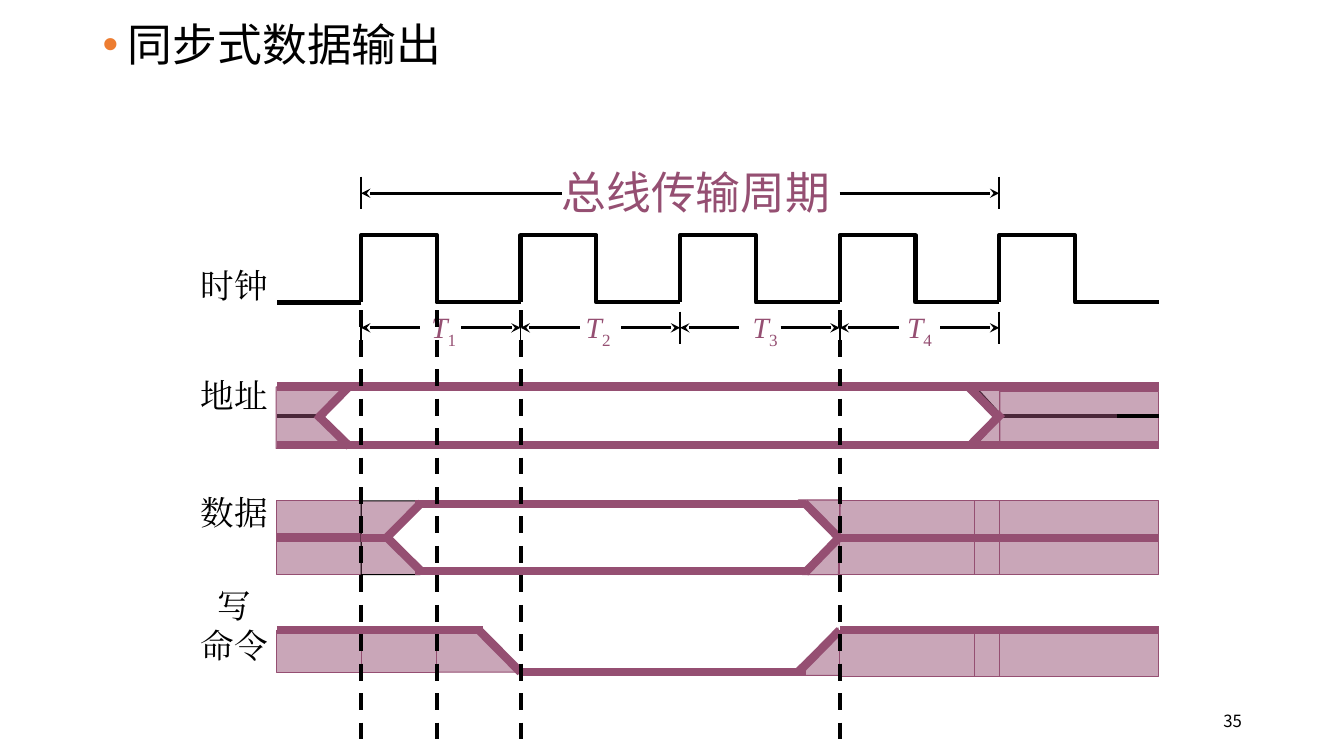
"""Build the timing diagram slide for synchronous data output."""
from dataclasses import dataclass
from itertools import pairwise

from lxml.etree import SubElement
from pptx import Presentation
from pptx.dml.color import RGBColor
from pptx.enum.dml import MSO_LINE
from pptx.enum.shapes import MSO_CONNECTOR, MSO_SHAPE
from pptx.enum.text import MSO_ANCHOR, MSO_AUTO_SIZE, PP_ALIGN
from pptx.oxml.ns import qn
from pptx.util import Cm, Pt

Point = tuple[float, float]

BLACK = RGBColor(0x00, 0x00, 0x00)
PLUM = RGBColor(0x95, 0x4F, 0x72)
ORANGE = RGBColor(0xED, 0x7D, 0x31)
SANS, SERIF = "Noto Sans CJK SC", "Times New Roman"

PERIOD = 4.02
EDGES = [round(9.1 + i * PERIOD, 2) for i in range(5)]
LEFT, RIGHT = 6.98, 29.2
STOPS = (LEFT, 9.1, 11.01, 13.12, 17.14, 20.32, 21.16, 24.55, 25.18, RIGHT)
CLOCK_LOW, CLOCK_HIGH, HIGH_TIME = 7.62, 5.93, 1.91
ADDR_TOP, ADDR_MID, ADDR_LOW = 9.74, 10.48, 11.22
DATA_TOP, DATA_MID, DATA_LOW = 12.7, 13.55, 14.39
WRITE_TOP, WRITE_LOW = 15.88, 16.94


@dataclass
class Band:
    x: float
    y: float
    w: float
    h: float
    has_axis: bool = False


@dataclass
class Area:
    points: list[Point]
    line: RGBColor = PLUM
    close: bool = False


@dataclass
class Rail:
    y: float
    xs: tuple[float, ...]


@dataclass
class Label:
    y: float
    h: float
    lines: tuple[str, ...]


BANDS = [
    Band(LEFT, 12.62, 2.12, 1.85, True),
    Band(LEFT, WRITE_TOP, 2.12, 1.06),
    Band(9.1, WRITE_TOP, 1.91, 1.06),
    Band(25.18, 9.86, PERIOD, 1.37),
    *(Band(a, 12.61, b - a, 1.88, True) for a, b in pairwise(STOPS[6:])),
    *(Band(a, WRITE_TOP, b - a, 1.17) for a, b in pairwise(STOPS[6:])),
]
AREAS = [
    Area([(8.03, 10.46), (8.86, 9.73), (6.96, 9.75), (6.96, 11.3), (8.86, 11.3)]),
    Area([(10.72, 12.62), (9.1, 12.62), (9.1, 14.48), (10.59, 14.48), (9.7, 13.51)], BLACK),
    Area([(11.01, 15.88), (12.07, 15.88), (13.12, 16.94), (11.01, 16.94)]),
    Area([(20.12, 12.6), (21.18, 12.6), (21.13, 14.48), (20.22, 14.48), (21.16, 13.49)], close=True),
    Area([(21.13, 15.82), (19.89, 17.02), (21.18, 17.02)]),
    Area([(24.51, 9.68), (25.2, 9.68), (25.2, 11.23), (24.33, 11.23), (25.25, 10.49)]),
]
RAILS = [
    Rail(ADDR_TOP, STOPS),
    Rail(ADDR_LOW, STOPS),
    Rail(DATA_TOP, (10.46, *STOPS[2:6])),
    Rail(DATA_LOW, (10.46, *STOPS[2:6])),
    Rail(DATA_MID, (9.1, 9.73)),
    Rail(WRITE_TOP, (*STOPS[:3], 12.16)),
    Rail(WRITE_TOP, STOPS[6:]),
    Rail(WRITE_LOW, STOPS[3:6]),
]
SLANTS: list[tuple[Point, Point]] = [
    ((8.79, 9.75), (8.03, 10.52)), ((8.81, 11.25), (7.98, 10.44)),
    ((25.25, 10.41), (24.49, 11.18)), ((25.17, 10.52), (24.36, 9.7)),
    ((10.62, 12.67), (9.73, 13.56)), ((10.62, 14.4), (9.7, 13.49)),
    ((21.18, 13.59), (20.27, 12.67)), ((21.18, 13.51), (20.29, 14.43)),
    ((12.07, WRITE_TOP), (13.12, WRITE_LOW)), ((21.16, WRITE_TOP), (20.12, WRITE_LOW)),
]
ADDR_HEXAGON = [(8.74, 9.74), (8.08, 10.46), (8.71, 11.2), (24.56, 11.22), (25.2, 10.46), (24.54, 9.74)]
LABELS = [
    Label(6.55, 1.27, ("时钟",)),
    Label(9.32, 1.27, ("地址",)),
    Label(12.27, 1.27, ("数据",)),
    Label(14.6, 2.31, ("写", "命令")),
]
STATE_XS = (10.87, 14.76, 18.97, 22.86)


def add_line(s, start: Point, end: Point, width: float, color=BLACK, arrow: str = ""):
    c = s.shapes.add_connector(MSO_CONNECTOR.STRAIGHT, *(Cm(v) for v in (*start, *end)))
    c.line.color.rgb = color
    c.line.width = Pt(width)
    SubElement(c._element.spPr, qn("a:effectLst"))
    if arrow:
        SubElement(c.line._get_or_add_ln(), qn(f"a:{arrow}"), type="stealth")
    return c


def outline(sp, color: RGBColor, width: float) -> None:
    sp.shadow.inherit = False
    sp.line.color.rgb = color
    sp.line.width = Pt(width)


def shade(sp) -> None:
    sp.fill.solid()
    sp.fill.fore_color.rgb = PLUM
    SubElement(sp._element.spPr.find(qn("a:solidFill"))[0], qn("a:alpha"), val="50000")


def add_path(s, points: list[Point], color: RGBColor, width: float, close: bool = False):
    first, *rest = [(Cm(x), Cm(y)) for x, y in points]
    builder = s.shapes.build_freeform(*first)
    builder.add_line_segments(rest, close=close)
    sp = builder.convert_to_shape()
    sp.fill.background()
    outline(sp, color, width)
    return sp


def add_band(s, band: Band) -> None:
    sp = s.shapes.add_shape(MSO_SHAPE.RECTANGLE, *(Cm(v) for v in (band.x, band.y, band.w, band.h)))
    shade(sp)
    outline(sp, PLUM, 0.75)
    if band.has_axis:
        y = band.y + band.h / 2
        axis = add_line(s, (band.x, y), (band.x + band.w, y), 6, PLUM)
        axis.begin_connect(sp, 1)
        axis.end_connect(sp, 3)


def add_run(p, text: str, size: float, font: str, color: RGBColor):
    r = p.add_run()
    r.text = text
    r.font.size, r.font.name, r.font.color.rgb = Pt(size), font, color
    SubElement(r._r.get_or_add_rPr(), qn("a:ea"), typeface=font)
    return r


def add_box(s, x: float, y: float, w: float, h: float, wrap: bool = False):
    tf = s.shapes.add_textbox(Cm(x), Cm(y), Cm(w), Cm(h)).text_frame
    tf.word_wrap = wrap
    tf.margin_left = tf.margin_right = tf.margin_top = tf.margin_bottom = 0
    return tf


def add_heading(s) -> None:
    title, body = s.shapes.title, s.placeholders[1]
    title._element.getparent().remove(title._element)
    body.left, body.top, body.width, body.height = Cm(2.33), Cm(0.44), Cm(29.21), Cm(17.42)
    body.text_frame.auto_size = MSO_AUTO_SIZE.NONE
    p = body.text_frame.paragraphs[0]
    p.line_spacing, p.space_before = 0.9, Pt(0)
    pPr = p._p.get_or_add_pPr()
    pPr.set("marL", str(Cm(0.64)))
    pPr.set("indent", str(-Cm(0.64)))
    SubElement(SubElement(pPr, qn("a:buClr")), qn("a:srgbClr"), val=str(ORANGE))
    SubElement(pPr, qn("a:buFont"), typeface="Arial")
    SubElement(pPr, qn("a:buChar"), char="•")
    add_run(p, "同步式数据输出", 32, SANS, BLACK)


def add_clock(s) -> None:
    add_line(s, (EDGES[0], CLOCK_LOW), (LEFT, CLOCK_LOW), 3)
    for x in EDGES:
        fall = x + HIGH_TIME
        add_path(s, [(x, CLOCK_LOW), (x, CLOCK_HIGH), (fall, CLOCK_HIGH),
                     (fall, CLOCK_LOW), (x + PERIOD, CLOCK_LOW)], BLACK, 3)
        add_line(s, (x, 7.85), (x, 8.67), 1.25)
    for x in (EDGES[0], EDGES[-1]):
        add_line(s, (x, 4.45), (x, 5.26), 1.25)
    add_line(s, (EDGES[0], 4.87), (14.17, 4.87), 2.25, arrow="headEnd")
    add_line(s, (21.16, 4.87), (EDGES[-1], 4.87), 2.25, arrow="tailEnd")
    add_run(add_box(s, 14.15, 4.14, 6.83, 1.37).paragraphs[0], "总线传输周期", 32, SANS, PLUM)
    for i, ((a, b), x) in enumerate(zip(pairwise(EDGES), STATE_XS), 1):
        add_line(s, (a, 8.26), (a + 1.49, 8.26), 2.25, arrow="headEnd")
        add_line(s, (b - 1.49, 8.26), (b, 8.26), 2.25, arrow="tailEnd")
        p = add_box(s, x, 7.8, 0.66, 0.89).paragraphs[0]
        add_run(p, "T", 21, SERIF, PLUM).font.italic = True
        add_run(p, str(i), 21, SERIF, PLUM)._r.get_or_add_rPr().set("baseline", "-25000")


def add_signals(s) -> None:
    add_line(s, (LEFT, ADDR_MID), (8.08, ADDR_MID), 2.5)
    add_line(s, (25.18, ADDR_MID), (28.58, ADDR_MID), 2.5)
    add_path(s, ADDR_HEXAGON, BLACK, 2.5, close=True)
    for band in BANDS:
        add_band(s, band)
    for area in AREAS:
        shade(add_path(s, area.points, area.line, 0.75, area.close))
    add_line(s, (28.14, ADDR_MID), (RIGHT, ADDR_MID), 3)
    for rail in RAILS:
        for a, b in pairwise(rail.xs):
            add_line(s, (a, rail.y), (b, rail.y), 6, PLUM)
    for start, end in SLANTS:
        add_line(s, start, end, 6, PLUM)
    for x in (9.1, 11.01, 13.12, 21.16):
        add_line(s, (x, 7.82), (x, 18.82), 3).line.dash_style = MSO_LINE.DASH


def add_labels(s) -> None:
    for label in LABELS:
        tf = add_box(s, 4.76, label.y, 2.54, label.h, wrap=True)
        tf.margin_right, tf.margin_top, tf.margin_bottom = Cm(0.25), Cm(0.13), Cm(0.13)
        for i, text in enumerate(label.lines):
            p = tf.add_paragraph() if i else tf.paragraphs[0]
            p.alignment = PP_ALIGN.CENTER
            add_run(p, text, 24, SERIF, BLACK)
    tf = add_box(s, 23.93, 17.65, 7.62, 1.02, wrap=True)
    tf.margin_right, tf.vertical_anchor = Cm(0.25), MSO_ANCHOR.MIDDLE
    tf.paragraphs[0].alignment = PP_ALIGN.RIGHT
    add_run(tf.paragraphs[0], "35", 12, SANS, BLACK)


def main() -> None:
    prs = Presentation()
    prs.slide_width, prs.slide_height = Cm(33.87), Cm(19.05)
    s = prs.slides.add_slide(prs.slide_layouts[1])
    for draw in (add_heading, add_clock, add_signals, add_labels):
        draw(s)
    prs.save("out.pptx")


if __name__ == "__main__":
    main()
